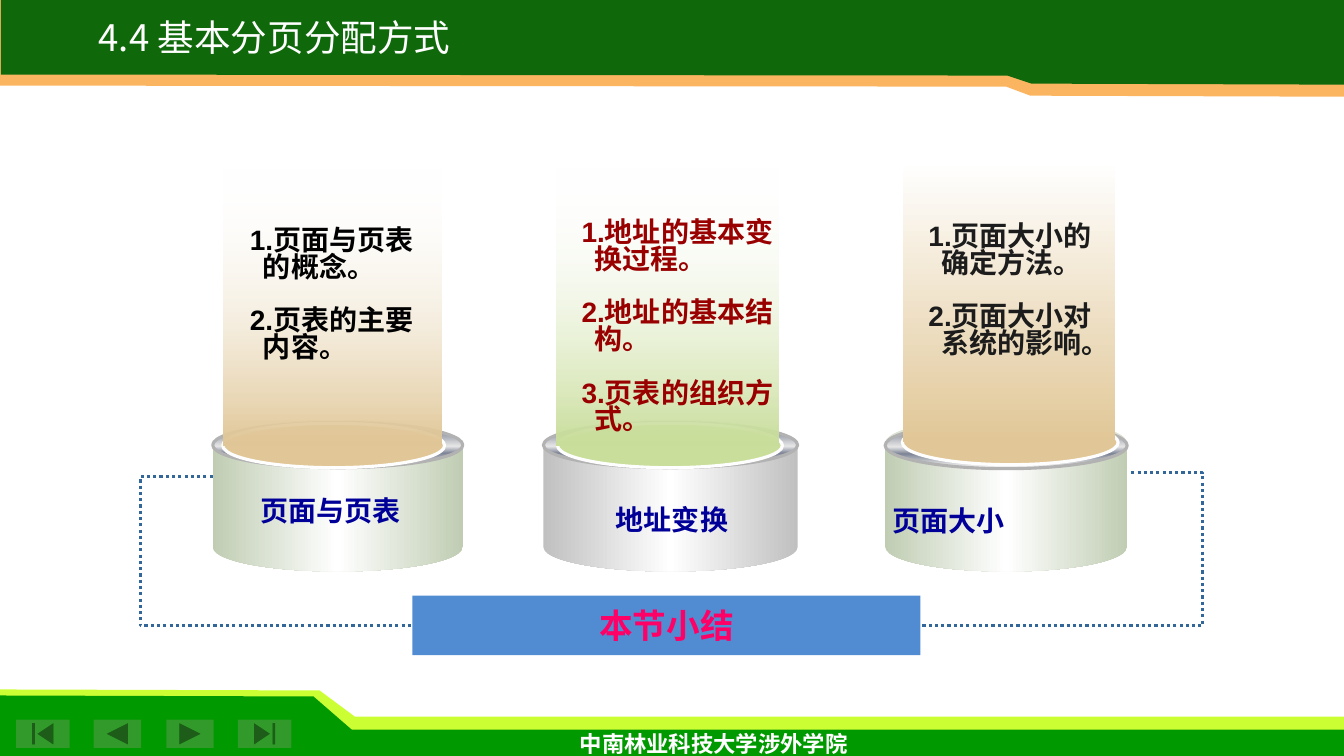
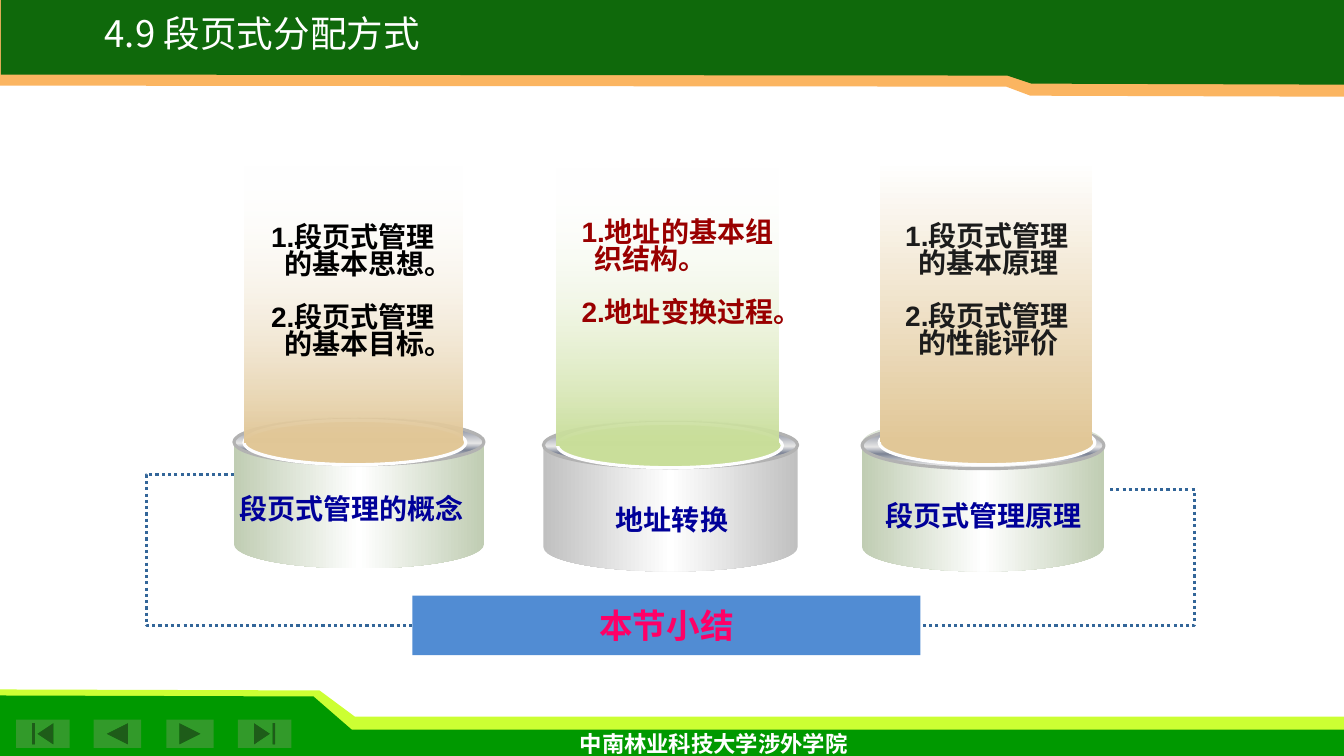
from dataclasses import dataclass
from typing import NamedTuple

from lxml.etree import SubElement
from pptx import Presentation
from pptx.dml.color import RGBColor
from pptx.enum.dml import MSO_LINE
from pptx.enum.shapes import MSO_CONNECTOR, MSO_SHAPE
from pptx.enum.text import MSO_ANCHOR, PP_ALIGN
from pptx.oxml.ns import qn
from pptx.util import Inches, Pt


@dataclass(frozen=True)
class Theme:
    lime: str = "CCFF33"
    green: str = "009900"
    button: str = "329A2A"
    orange: str = "FBB561"
    dark_green: str = "0F690B"
    white: str = "FFFFFF"
    bar: str = "518CD3"
    summary: str = "FF0066"
    link: str = "336699"
    label: str = "000099"
    rim_line: str = "B2B2B2"
    disc_line: str = "FEFEFE"
    sage: str = "C0CDB3"
    silver: str = "C0C0C0"
    sand: str = "E1C797"
    leaf: str = "C9DE9A"
    black: str = "000000"
    dark_red: str = "990000"
    charcoal: str = "1C1C1C"
    body_font: str = "Arial"
    title_font: str = "Noto Sans CJK SC"
    footer_font: str = "Lato"
    title_size: float = 26.1
    summary_size: float = 24
    body_size: float = 20
    footer_size: float = 16
    outline: float = 2.25


T = Theme()


class Box(NamedTuple):
    x: float
    y: float
    w: float
    h: float

    def emu(self) -> tuple:
        return tuple(Inches(v) for v in self)


class Stop(NamedTuple):
    at: int
    color: str
    alpha: int = 100


RIM = [Stop(0, "E6E6E6"), Stop(15, "7D8496"), Stop(53, "E6E6E6"),
       Stop(68, "7D8496"), Stop(93, "E6E6E6"), Stop(100, "FFFFFF")]


@dataclass(frozen=True)
class Pillar:
    """Pillar geometry; beam, disc and list are offsets from the can's top left."""
    can_w: float
    can_h: float
    rim_y: float
    rim_h: float
    disc_x: float
    disc_w: float
    beam: Box
    list_box: Box
    can_color: str
    beam_color: str
    beam_top_alpha: int
    list_color: str


LEFT = Pillar(2.48, 1.5, 0.02, 0.45, 0.1, 2.2, Box(0.11, -2.51, 2.16, 2.76),
              Box(0.27, -1.95, 2.05, 1.98), T.sage, T.sand, 0, T.black)
MIDDLE = Pillar(2.52, 1.5, 0.02, 0.45, 0.14, 2.23, Box(0.13, -2.51, 2.2, 2.76),
                Box(0.28, -2.03, 2.1, 2.25), T.silver, T.leaf, 0, T.dark_red)
RIGHT = Pillar(2.4, 1.52, 0.04, 0.46, 0.17, 2.14, Box(0.18, -2.56, 2.1, 2.8),
               Box(0.33, -1.97, 2.01, 1.98), T.sage, T.sand, 100, T.charcoal)


class Topic(NamedTuple):
    pillar: Pillar
    x: float
    y: float
    label: str
    label_box: Box
    points: list[str]


class Link(NamedTuple):
    """Dotted elbow from a pillar, out to bend_x, back to the summary bar."""
    x: float
    y: float
    bend_x: float


class Page(NamedTuple):
    title: str
    title_box: Box
    links: list[Link]
    topics: list[Topic]


BAR = Box(4.09, 5.91, 5.04, 0.59)
DISC_H = 0.44

BANDS = [
    (T.lime, [(0, 7.4), (13.33, 7.4), (13.33, 7.11), (3.52, 7.11), (3.17, 6.85), (0, 6.84)]),
    (T.green, [(0, 7.5), (13.33, 7.5), (13.33, 7.24), (3.49, 7.24), (3.11, 6.91), (0, 6.9)]),
    (T.orange, [(13.33, 0), (0, 0), (0, 0.85), (9.98, 0.86), (10.22, 0.95), (13.33, 0.96)]),
    (T.dark_green, [(13.33, 0), (0.01, 0), (0.01, 0.74), (9.99, 0.75), (10.23, 0.83),
                    (13.33, 0.84)]),
]

BUTTONS = [
    (MSO_SHAPE.ACTION_BUTTON_BEGINNING, 0.16, 0.53),
    (MSO_SHAPE.ACTION_BUTTON_BACK_OR_PREVIOUS, 0.93, 0.47),
    (MSO_SHAPE.ACTION_BUTTON_FORWARD_OR_NEXT, 1.65, 0.47),
    (MSO_SHAPE.ACTION_BUTTON_END, 2.36, 0.53),
]

PAGES = [
    Page("4.4 基本分页分配方式", Box(0.88, 0.18, 4.1, 0.46),
         [Link(2.11, 4.73, 1.39), Link(11.22, 4.69, 11.93)],
         [Topic(LEFT, 2.11, 4.17, "页面与页表", Box(2.06, 4.85, 2.44, 0.44),
                ["页面与页表的概念。", "页表的主要内容。"]),
          Topic(MIDDLE, 5.39, 4.17, "地址变换", Box(5.17, 4.94, 2.99, 0.44),
                ["地址的基本变换过程。", "地址的基本结构。", "页表的组织方式。"]),
          Topic(RIGHT, 8.78, 4.15, "页面大小", Box(8.01, 4.95, 2.79, 0.44),
                ["页面大小的确定方法。", "页面大小对系统的影响。"])]),
    Page("4.9 段页式分配方式", Box(0.94, 0.14, 4.1, 0.46),
         [Link(2.32, 4.71, 1.45), Link(11.01, 4.86, 11.85)],
         [Topic(LEFT, 2.32, 4.14, "段页式管理的概念", Box(2.27, 4.83, 2.44, 0.44),
                ["段页式管理的基本思想。", "段页式管理的基本目标。"]),
          Topic(MIDDLE, 5.39, 4.17, "地址转换", Box(5.17, 4.94, 2.99, 0.44),
                ["地址的基本组织结构。", "地址变换过程。"]),
          Topic(RIGHT, 8.55, 4.15, "段页式管理原理", Box(8.36, 4.9, 2.79, 0.44),
                ["段页式管理的基本原理", "段页式管理的性能评价"])]),
]


def rgb(color: str) -> RGBColor:
    return RGBColor.from_string(color)


def paint(sp, fill: str | list[Stop], angle: int = 0, line: str | None = None) -> None:
    """Fill with one colour or gradient stops; angle runs clockwise in degrees."""
    sp.shadow.inherit = False
    if isinstance(fill, str):
        sp.fill.solid()
        sp.fill.fore_color.rgb = rgb(fill)
    else:
        sp.fill.gradient()
        grad = sp._element.spPr.find(qn("a:gradFill"))
        stops = grad.find(qn("a:gsLst"))
        for old in list(stops):
            stops.remove(old)
        for stop in fill:
            gs = SubElement(stops, qn("a:gs"), pos=str(stop.at * 1000))
            clr = SubElement(gs, qn("a:srgbClr"), val=stop.color)
            if stop.alpha < 100:
                SubElement(clr, qn("a:alpha"), val=str(stop.alpha * 1000))
        grad.find(qn("a:lin")).set("ang", str(angle * 60000))
    if line:
        sp.line.color.rgb = rgb(line)
        sp.line.width = Pt(T.outline)
    else:
        sp.line.fill.background()


def add_block(s, kind: MSO_SHAPE, box: Box, fill: str | list[Stop], **look):
    sp = s.shapes.add_shape(kind, *box.emu())
    paint(sp, fill, **look)
    return sp


def write(tf, *texts: str, size: float, color: str, font: str = T.body_font,
          bold: bool = True, align: PP_ALIGN = PP_ALIGN.CENTER, wrap: bool = True,
          spacing: float | None = None, numbered: bool = False) -> None:
    tf.word_wrap = wrap
    for i, text in enumerate(texts):
        p = tf.paragraphs[0] if i == 0 else tf.add_paragraph()
        p.alignment = align
        if numbered:
            pPr = p._p.get_or_add_pPr()
            pPr.set("marL", str(Inches(0.13)))
            pPr.set("indent", str(-Inches(0.13)))
            SubElement(pPr, qn("a:buAutoNum"), type="arabicPeriod")
        if spacing:
            p.line_spacing = spacing
        if i:
            p.space_before = Pt(19)
        r = p.add_run()
        r.text = text
        r.font.size = Pt(size)
        r.font.bold = bold
        r.font.name = font
        r.font.color.rgb = rgb(color)
        rPr = r._r.get_or_add_rPr()
        rPr.set("lang", "zh-CN")
        SubElement(rPr, qn("a:ea"), typeface=font)


def add_text(s, box: Box, *texts: str, **style) -> None:
    write(s.shapes.add_textbox(*box.emu()).text_frame, *texts, **style)


def add_frame(s, page: Page) -> None:
    """Draw the bands, navigation buttons, footer and title."""
    for color, corners in BANDS:
        start, *rest = [(Inches(x), Inches(y)) for x, y in corners]
        outline = s.shapes.build_freeform(*start)
        outline.add_line_segments(rest)
        paint(outline.convert_to_shape(), color)
    for kind, x, w in BUTTONS:
        add_block(s, kind, Box(x, 7.14, w, 0.28), T.button)
    add_text(s, Box(4.86, 7.19, 4.44, 0.37), "中南林业科技大学涉外学院",
             size=T.footer_size, color=T.white, font=T.footer_font)
    add_text(s, page.title_box, page.title, size=T.title_size, color=T.white,
             font=T.title_font, bold=False, align=PP_ALIGN.LEFT, wrap=False, spacing=0.8)


def add_link(s, link: Link) -> None:
    end_x = BAR.x if link.x < BAR.x else BAR.x + BAR.w
    end_y = BAR.y + BAR.h / 2
    cxn = s.shapes.add_connector(MSO_CONNECTOR.ELBOW, Inches(link.x), Inches(link.y),
                                 Inches(end_x), Inches(end_y))
    cxn.line.color.rgb = rgb(T.link)
    cxn.line.width = Pt(T.outline)
    cxn.line.dash_style = MSO_LINE.ROUND_DOT
    spPr = cxn._element.spPr
    SubElement(spPr, qn("a:effectLst"))
    bend = round((link.bend_x - link.x) / (end_x - link.x) * 100000)
    guides = spPr.find(qn("a:prstGeom")).get_or_add_avLst()
    SubElement(guides, qn("a:gd"), name="adj1", fmla=f"val {bend}")


def add_topic(s, topic: Topic) -> None:
    pl, x, y = topic.pillar, topic.x, topic.y
    beam = pl.beam._replace(x=x + pl.beam.x, y=y + pl.beam.y)
    disc = Box(x + pl.disc_x, beam.y + beam.h - DISC_H / 2, pl.disc_w, DISC_H)
    can = add_block(s, MSO_SHAPE.CAN, Box(x, y, pl.can_w, pl.can_h),
                    [Stop(0, pl.can_color), Stop(50, T.white), Stop(100, pl.can_color)])
    can.adjustments[0] = 0.321
    add_block(s, MSO_SHAPE.OVAL, Box(x, y + pl.rim_y, pl.can_w, pl.rim_h), RIM,
              angle=90, line=T.rim_line)
    add_block(s, MSO_SHAPE.OVAL, disc, pl.beam_color, line=T.disc_line)
    add_block(s, MSO_SHAPE.RECTANGLE, beam,
              [Stop(0, T.white, pl.beam_top_alpha), Stop(100, pl.beam_color)], angle=90)
    add_text(s, pl.list_box._replace(x=x + pl.list_box.x, y=y + pl.list_box.y),
             *topic.points, size=T.body_size, color=pl.list_color, align=PP_ALIGN.LEFT,
             spacing=0.8, numbered=True)
    add_text(s, topic.label_box, topic.label, size=T.body_size, color=T.label)


def add_page(prs, page: Page) -> None:
    s = prs.slides.add_slide(prs.slide_layouts[6])
    add_frame(s, page)
    bar = add_block(s, MSO_SHAPE.RECTANGLE, BAR, T.bar)
    bar.text_frame.vertical_anchor = MSO_ANCHOR.MIDDLE
    write(bar.text_frame, "本节小结", size=T.summary_size, color=T.summary)
    for link in page.links:
        add_link(s, link)
    for topic in page.topics:
        add_topic(s, topic)


def main() -> None:
    prs = Presentation()
    prs.slide_width, prs.slide_height = Inches(13.33), Inches(7.5)
    for page in PAGES:
        add_page(prs, page)
    prs.save("out.pptx")


if __name__ == "__main__":
    main()
